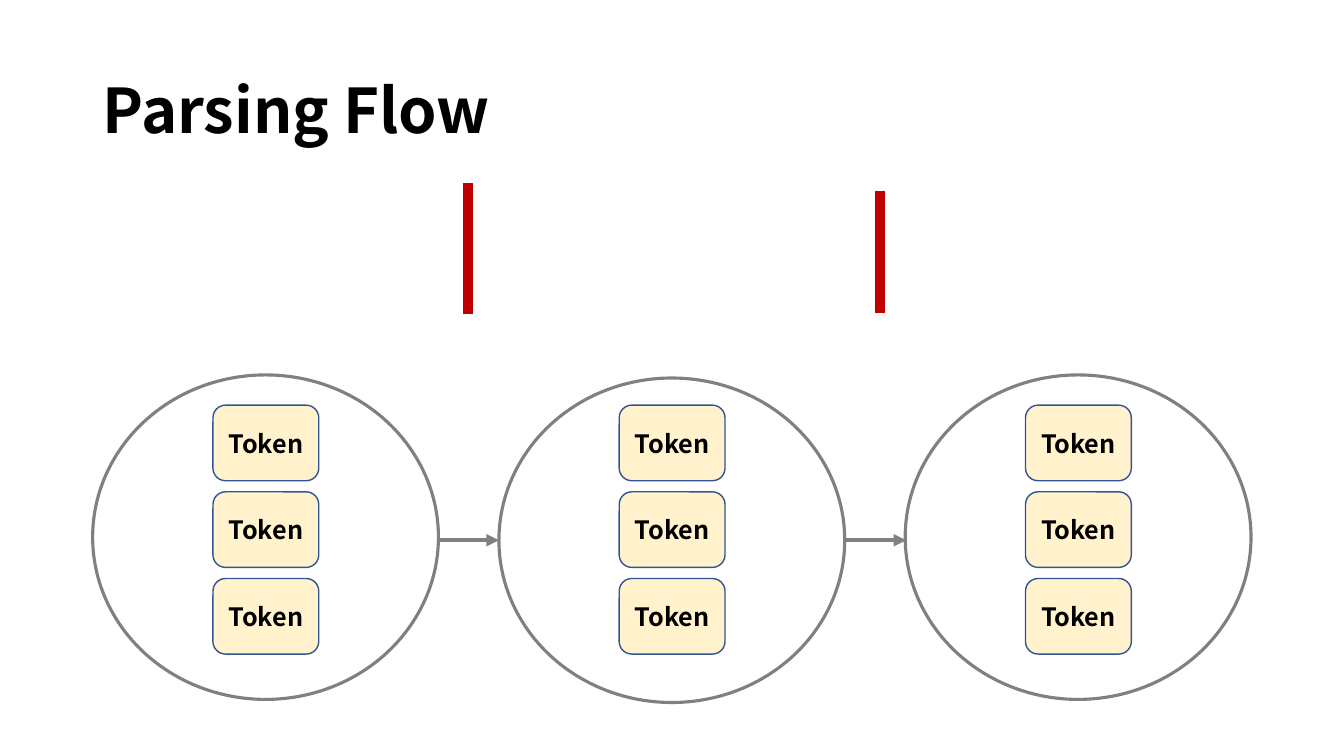
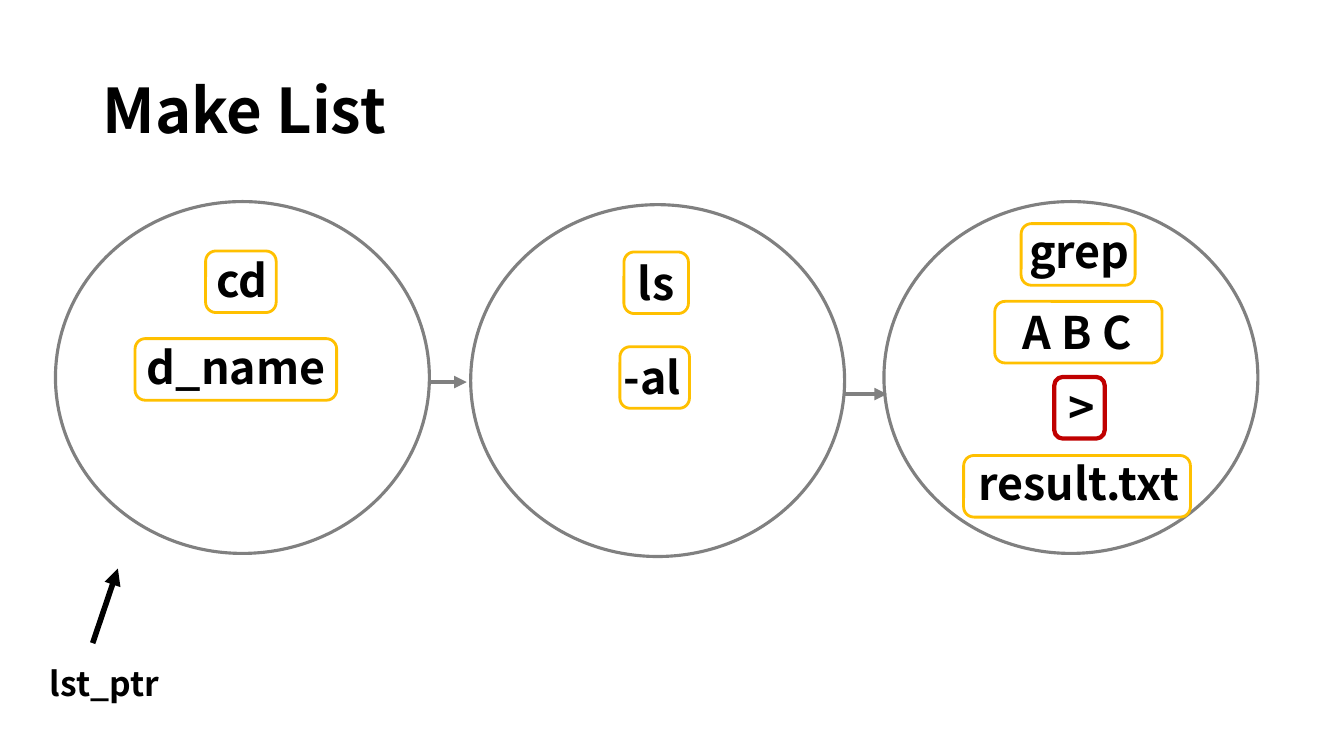
"""Build two slides on parsing flow and list making."""
from dataclasses import dataclass
from typing import Any, Optional

import lxml.etree
import pptx
import pptx.dml.color
import pptx.enum.shapes
import pptx.enum.text
import pptx.oxml.ns
import pptx.util

Pt = pptx.util.Pt
MSO_SHAPE = pptx.enum.shapes.MSO_SHAPE
ALIGN = pptx.enum.text.PP_ALIGN
ANCHOR = pptx.enum.text.MSO_ANCHOR
AUTO_SIZE = pptx.enum.text.MSO_AUTO_SIZE


@dataclass(frozen=True)
class Theme:
    font: str = "Noto Sans CJK KR"
    black: str = "000000"
    white: str = "FFFFFF"
    gray: str = "808080"
    red: str = "C00000"
    amber: str = "FFC000"
    cream: str = "FFF2CC"
    navy: str = "325491"
    title: int = 44
    word: int = 32
    pointer: int = 24
    token: int = 18


@dataclass(frozen=True)
class Box:
    x: float
    y: float
    w: float
    h: float


@dataclass(frozen=True)
class Line:
    x1: float
    y1: float
    x2: float
    y2: float
    color: str
    width: float
    arrow: bool = True


@dataclass(frozen=True)
class Word:
    text: str
    label: Box
    frame: Box
    color: str
    width: float = 2


THEME = Theme()
LABEL_H = 46
FRAME_H = 44

FLOW_NODES = [Box(66.2 + 290.2 * i, y, 247, 231.8) for i, y in enumerate((267.8, 270, 267.8))]
TOKENS = [Box(node.x + 85.9, 289.4 + 61.9 * row, 75.6, 54)
          for node in FLOW_NODES for row in range(3)]
FLOW_LINES = [
    Line(313.2, 385.9, 356.4, 385.9, THEME.gray, 3),
    Line(603.4, 385.9, 647.3, 385.9, THEME.gray, 3),
    Line(334.1, 131, 334.1, 224.6, THEME.red, 7, arrow=False),
    Line(628.6, 136.1, 628.6, 223.9, THEME.red, 7, arrow=False),
]

LIST_NODES = [Box(x, y, 267.1, 251.3)
              for x, y in ((39.6, 144), (336.2, 146.2), (631.4, 144))]
LIST_LINES = [
    Line(308.2, 272.9, 333.4, 272.9, THEME.gray, 3),
    Line(603.4, 281.5, 633.6, 281.5, THEME.gray, 3),
    Line(66.2, 459.4, 84.2, 406.1, THEME.black, 4),
]
WORDS = [
    Word("cd", Box(135.4, 177.1, 74.9, LABEL_H), Box(146.9, 179.3, 50.4, FRAME_H), THEME.amber),
    Word("d_name", Box(93.6, 239, 150.5, LABEL_H), Box(96.5, 241.9, 144, FRAME_H), THEME.amber),
    Word("ls", Box(414.7, 179.3, 108, LABEL_H), Box(445.7, 180, 46.1, FRAME_H), THEME.amber),
    Word("-al", Box(411.8, 246.2, 108, LABEL_H), Box(442.8, 247.7, 49.7, FRAME_H), THEME.amber),
    Word("grep", Box(717.1, 156.2, 108, LABEL_H), Box(729.4, 159.8, 81.4, FRAME_H), THEME.amber),
    Word("A B C", Box(697.7, 213.8, 143.3, LABEL_H), Box(710.6, 215.3, 119.5, FRAME_H),
         THEME.amber),
    Word(">", Box(701.3, 267.8, 143.3, LABEL_H), Box(753.1, 269.3, 36, FRAME_H), THEME.red, 3),
    Word("result.txt", Box(674.6, 321.8, 192.2, LABEL_H), Box(688.3, 325.4, 162, FRAME_H),
         THEME.amber),
]
POINTER_LABEL = Box(23.8, 470.2, 101.5, 36)
TITLE = Box(66.2, 28.8, 828, 104.4)


def rgb(color: str) -> Any:
    return pptx.dml.color.RGBColor.from_string(color)


def bounds(box: Box) -> tuple:
    return Pt(box.x), Pt(box.y), Pt(box.w), Pt(box.h)


def write(tf: Any, text: str, size: int, align: Any = ALIGN.CENTER) -> None:
    tf.text = text
    p = tf.paragraphs[0]
    p.alignment = align
    r = p.runs[0]
    r.font.name = THEME.font
    r.font.size = Pt(size)
    r.font.bold = True
    r.font.color.rgb = rgb(THEME.black)


def add_outline(shapes: Any, kind: Any, box: Box, color: str, width: float,
                fill: Optional[str] = None) -> Any:
    sp = shapes.add_shape(kind, *bounds(box))
    sp.shadow.inherit = False
    if fill:
        sp.fill.solid()
        sp.fill.fore_color.rgb = rgb(fill)
    else:
        sp.fill.background()
    sp.line.color.rgb = rgb(color)
    sp.line.width = Pt(width)
    return sp


def add_label(shapes: Any, box: Box, text: str, size: int) -> None:
    tf = shapes.add_textbox(*bounds(box)).text_frame
    tf.word_wrap = True
    tf.auto_size = AUTO_SIZE.SHAPE_TO_FIT_TEXT
    write(tf, text, size)


def add_title(shapes: Any, text: str) -> None:
    tf = shapes.add_textbox(*bounds(TITLE)).text_frame
    tf.word_wrap = True
    tf.vertical_anchor = ANCHOR.MIDDLE
    write(tf, text, THEME.title, ALIGN.LEFT)
    tf.paragraphs[0].line_spacing = 0.9


def add_line(shapes: Any, line: Line) -> None:
    cx = shapes.add_connector(pptx.enum.shapes.MSO_CONNECTOR.STRAIGHT,
                              Pt(line.x1), Pt(line.y1), Pt(line.x2), Pt(line.y2))
    cx.line.color.rgb = rgb(line.color)
    cx.line.width = Pt(line.width)
    qn = pptx.oxml.ns.qn
    if line.arrow:
        ln = cx.line._get_or_add_ln()
        lxml.etree.SubElement(ln, qn("a:tailEnd"), type="triangle")
    lxml.etree.SubElement(cx._element.spPr, qn("a:effectLst"))


def add_token(shapes: Any, box: Box) -> None:
    sp = add_outline(shapes, MSO_SHAPE.ROUNDED_RECTANGLE, box, THEME.navy, 1, THEME.cream)
    tf = sp.text_frame
    tf.vertical_anchor = ANCHOR.MIDDLE
    write(tf, "Token", THEME.token)


def add_word(shapes: Any, word: Word) -> None:
    group = shapes.add_group_shape()
    add_label(group.shapes, word.label, word.text, THEME.word)
    add_outline(group.shapes, MSO_SHAPE.ROUNDED_RECTANGLE, word.frame, word.color, word.width)


def add_base(prs: Any, title: str, nodes: list, lines: list) -> Any:
    s = prs.slides.add_slide(prs.slide_layouts[6])
    for node in nodes:
        add_outline(s.shapes, MSO_SHAPE.OVAL, node, THEME.gray, 2.25, THEME.white)
    for line in lines:
        add_line(s.shapes, line)
    add_title(s.shapes, title)
    return s


def main() -> None:
    prs = pptx.Presentation()
    prs.slide_width, prs.slide_height = Pt(960), Pt(540)

    s = add_base(prs, "Parsing Flow", FLOW_NODES, FLOW_LINES)
    for token in TOKENS:
        add_token(s.shapes, token)

    s = add_base(prs, "Make List", LIST_NODES, LIST_LINES)
    for word in WORDS:
        add_word(s.shapes, word)
    add_label(s.shapes, POINTER_LABEL, "lst_ptr", THEME.pointer)

    prs.save("out.pptx")


if __name__ == "__main__":
    main()
